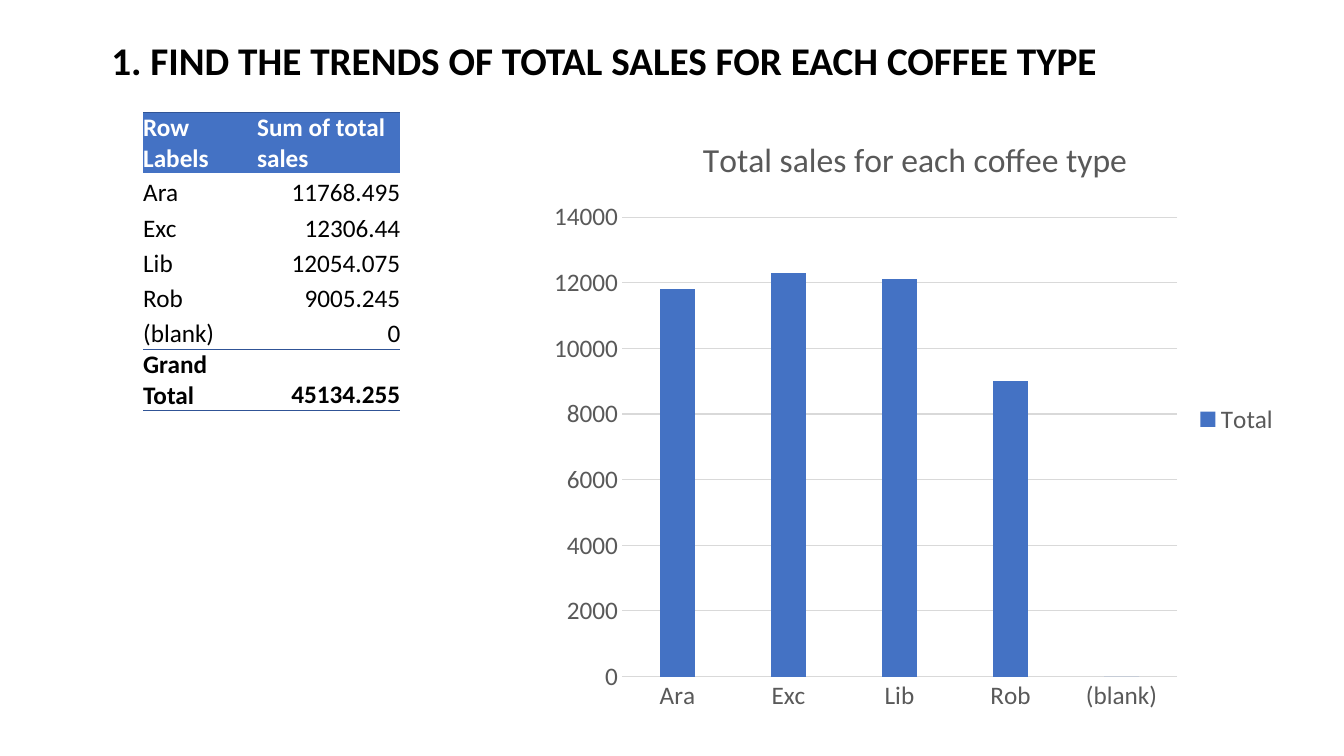
"""Build a slide with a coffee sales table and a column chart."""
from lxml.etree import SubElement
from pptx import Presentation
from pptx.chart.data import CategoryChartData
from pptx.dml.color import RGBColor
from pptx.enum.chart import XL_CHART_TYPE as CHART, XL_LEGEND_POSITION as LEGEND, XL_TICK_MARK as TICK
from pptx.enum.text import MSO_ANCHOR as ANCHOR, PP_ALIGN as ALIGN
from pptx.oxml import parse_xml
from pptx.oxml.ns import nsdecls, qn
from pptx.util import Inches, Pt

HEADING = "1. FIND THE TRENDS OF TOTAL SALES FOR EACH COFFEE TYPE"
CHART_TITLE = "Total sales for each coffee type"
HEADER = ("Row Labels", "Sum of total sales")
SALES = [("Ara", 11768.495), ("Exc", 12306.44), ("Lib", 12054.075), ("Rob", 9005.245), ("(blank)", 0)]
TOTAL = ("Grand Total", 45134.255)
COLUMN_WIDTHS = (1.13, 1.42, 0.98) + (0.84,) * 9
ROW_COUNT, ROW_HEIGHT = 17, 0.35
BLUE, NAVY, GRAY, GRID, BLACK, WHITE = "4472C4", "305496", "595959", "D9D9D9", "000000", "FFFFFF"


def color(value):
    return RGBColor.from_string(value)


def format_font(font, size=18, fill=BLACK, bold=False):
    font.name, font.size, font.bold = "Calibri", Pt(size), bold
    font.color.rgb = color(fill)


def write(frame, text, align=ALIGN.LEFT, anchor=ANCHOR.BOTTOM, spacing=None, **style):
    frame.word_wrap, frame.vertical_anchor = True, anchor
    paragraph = frame.paragraphs[0]
    paragraph.alignment, paragraph.line_spacing = align, spacing
    run = paragraph.add_run()
    run.text = text
    format_font(run.font, **style)


def set_borders(cell, top=0, bottom=0):
    properties = cell._tc.get_or_add_tcPr()
    for index, (side, width) in enumerate((("L", 0), ("R", 0), ("T", top), ("B", bottom))):
        line = parse_xml(f'<a:ln{side} {nsdecls("a")} w="{Pt(width)}"/>')
        if width:
            SubElement(SubElement(line, qn("a:solidFill")), qn("a:srgbClr")).set("val", NAVY)
        else:
            SubElement(line, qn("a:noFill"))
        properties.insert(index, line)


def add_sales_table(slide):
    rows = [HEADER, *SALES, TOTAL]
    last = len(rows) - 1
    borders = {0: (1, 0), last - 1: (0, 0.5), last: (0.5, 1), last + 1: (1, 0)}
    table = slide.shapes.add_table(ROW_COUNT, len(COLUMN_WIDTHS), Inches(1.42), Inches(1.12),
                                   Inches(sum(COLUMN_WIDTHS)), Inches(ROW_HEIGHT * ROW_COUNT)).table
    table.first_row = table.horz_banding = False
    for column, width in zip(table.columns, COLUMN_WIDTHS):
        column.width = Inches(width)
    for r in range(ROW_COUNT):
        for c in range(len(COLUMN_WIDTHS)):
            cell = table.cell(r, c)
            cell.margin_left = cell.margin_right = cell.margin_top = cell.margin_bottom = 0
            cell.vertical_anchor = ANCHOR.BOTTOM
            cell.fill.background()
            in_data = c < len(HEADER)
            if in_data and r <= last:
                write(cell.text_frame, str(rows[r][c]), align=ALIGN.RIGHT if r and c else ALIGN.LEFT,
                      fill=BLACK if r else WHITE, bold=r in (0, last))
            if in_data and r == 0:
                cell.fill.solid()
                cell.fill.fore_color.rgb = color(BLUE)
            set_borders(cell, *(borders.get(r, ()) if in_data else ()))


def set_layout(parent, index, **parts):
    for old in parent.findall(qn("c:layout")):
        parent.remove(old)
    layout = parse_xml(f'<c:layout {nsdecls("c")}><c:manualLayout/></c:layout>')
    for name, value in parts.items():
        SubElement(layout[0], qn(f"c:{name}")).set("val", str(value))
    parent.insert(index, layout)


def add_sales_chart(slide):
    data = CategoryChartData()
    data.categories = [name for name, _ in SALES]
    data.add_series("Total", [round(value, -2) for _, value in SALES])
    chart = slide.shapes.add_chart(CHART.COLUMN_CLUSTERED, Inches(5.35), Inches(1.12),
                                   Inches(7.44), Inches(6.08), data).chart
    format_font(chart.font, fill=GRAY)
    write(chart.chart_title.text_frame, CHART_TITLE, align=ALIGN.CENTER, size=24, fill=GRAY)
    set_layout(chart.chart_title._element, 1, xMode="edge", yMode="edge", x=0.21, y=0.03)

    plot = chart.plots[0]
    plot.gap_width, plot.overlap, plot.vary_by_categories = 219, -27, False
    bars = plot.series[0].format.fill
    bars.solid()
    bars.fore_color.rgb = color(BLUE)
    set_layout(plot._element.getparent(), 0, layoutTarget="inner", xMode="edge", yMode="edge",
               x=0.11, y=0.17, w=0.74, h=0.75)

    category_axis, value_axis = chart.category_axis, chart.value_axis
    for axis in (category_axis, value_axis):
        axis.major_tick_mark = axis.minor_tick_mark = TICK.NONE
        format_font(axis.tick_labels.font, fill=GRAY)
    value_axis.has_major_gridlines = True
    value_axis.minimum_scale, value_axis.maximum_scale, value_axis.major_unit = 0, 14000, 2000
    value_axis.format.line.fill.background()
    for line in (category_axis.format.line, value_axis.major_gridlines.format.line):
        line.color.rgb, line.width = color(GRID), Pt(0.75)

    chart.has_legend = True
    chart.legend.position, chart.legend.include_in_layout = LEGEND.RIGHT, False
    format_font(chart.legend.font, fill=GRAY)


def main():
    presentation = Presentation()
    presentation.slide_width, presentation.slide_height = Inches(13.33), Inches(7.5)
    slide = presentation.slides.add_slide(presentation.slide_layouts[6])
    heading = slide.shapes.add_textbox(Inches(0.99), Inches(0.21), Inches(10), Inches(0.67))
    write(heading.text_frame, HEADING, align=ALIGN.CENTER, spacing=0.9, size=28, bold=True)
    add_sales_table(slide)
    add_sales_chart(slide)
    presentation.save("out.pptx")


if __name__ == "__main__":
    main()
